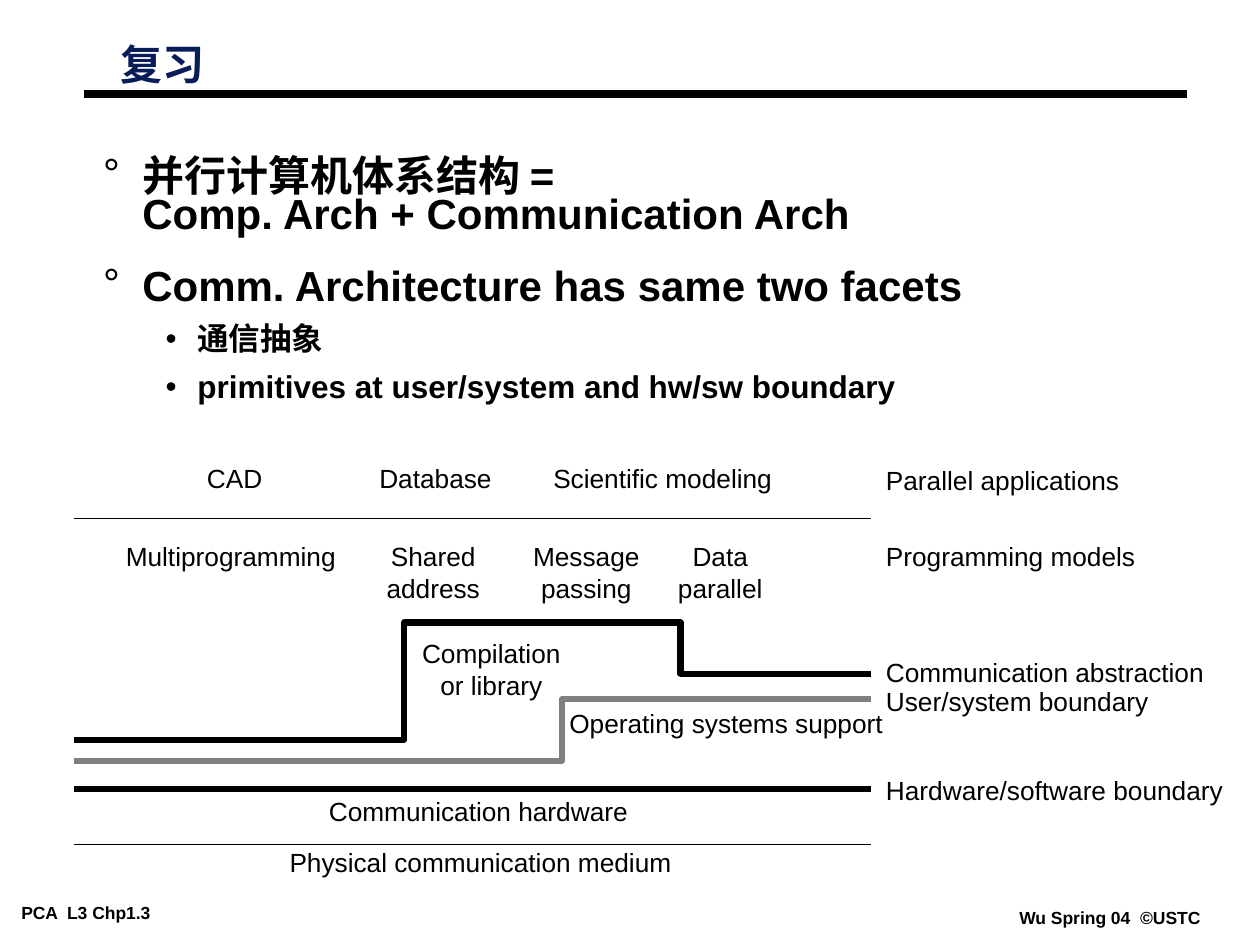
from dataclasses import dataclass

from lxml import etree
from pptx import Presentation
from pptx import util as u
from pptx.dml.color import RGBColor
from pptx.enum import shapes, text
from pptx.oxml import ns

BLACK = RGBColor(0x00, 0x00, 0x00)
NAVY = RGBColor(0x08, 0x1D, 0x58)
GRAY = RGBColor(0x80, 0x80, 0x80)
FONT_NAME = "Arial"
LEFT = text.PP_ALIGN.LEFT
CENTER = text.PP_ALIGN.CENTER

# Diagram extents in centimetres
DIAGRAM_LEFT, DIAGRAM_RIGHT = 1.5, 17.55
LEGEND_LEFT = 17.86
LINE_HEIGHT = 0.6


@dataclass(frozen=True)
class Label:
    words: str
    left: float
    top: float
    width: float
    align: text.PP_ALIGN = CENTER


@dataclass(frozen=True)
class Rule:
    left: float
    right: float
    y: float
    weight: float


@dataclass(frozen=True)
class Step:
    points: tuple[tuple[float, float], ...]
    color: RGBColor


@dataclass(frozen=True)
class Bullet:
    words: str
    level: int


@dataclass(frozen=True)
class BulletStyle:
    symbol: str
    size: float
    margin: float
    hanging: float
    line_spacing: float
    space_before: float


BULLET_STYLES = (
    BulletStyle("°", 24, 0.79, 0.79, 0.75, 19.5),
    BulletStyle("•", 18, 1.9, 0.64, 0.85, 9),
)
BULLETS = (
    Bullet("并行计算机体系结构 =\vComp. Arch + Communication Arch", 0),
    Bullet("Comm. Architecture has same two facets", 0),
    Bullet("通信抽象", 1),
    Bullet("primitives at user/system and hw/sw boundary", 1),
)
LABELS = (
    # Applications
    Label("CAD", 4.17, 9.32, 1.12),
    Label("Database", 7.65, 9.32, 2.26),
    Label("Scientific modeling", 11.15, 9.32, 4.42),
    # Programming models
    Label("Multiprogramming", 2.57, 10.9, 4.17),
    Label("Shared\vaddress", 7.82, 10.9, 1.83),
    Label("Message\vpassing", 10.74, 10.9, 2.16),
    Label("Data\vparallel", 13.67, 10.9, 1.7),
    # System layers
    Label("Compilation\vor library", 8.51, 12.85, 2.79),
    Label("Operating systems support", 11.48, 14.25, 6.32),
    Label("Communication hardware", 6.71, 16.03, 5.87),
    Label("Physical communication medium", 5.84, 17.07, 7.7),
    # Legend on the right
    Label("Parallel applications", LEGEND_LEFT, 9.35, 4.7, LEFT),
    Label("Programming models", LEGEND_LEFT, 10.9, 5.03, LEFT),
    Label("Communication abstraction", LEGEND_LEFT, 13.23, 6.43, LEFT),
    Label("User/system boundary", LEGEND_LEFT, 13.82, 5.31, LEFT),
    Label("Hardware/software boundary", LEGEND_LEFT, 15.6, 6.65, LEFT),
)
FOOTERS = (
    Label("PCA  L3 Chp1.3", 0.25, 18.11, 4.47, LEFT),
    Label("Wu Spring 04  ©USTC", 20.37, 18.21, 4.01, LEFT),
)
RULES = (
    Rule(1.7, 23.93, 1.9, 4.5),
    Rule(DIAGRAM_LEFT, DIAGRAM_RIGHT, 10.45, 0.88),
    Rule(DIAGRAM_LEFT, DIAGRAM_RIGHT, 15.91, 3.5),
    Rule(DIAGRAM_LEFT, DIAGRAM_RIGHT, 17.02, 0.88),
)
STEPS = (
    Step(((DIAGRAM_RIGHT, 13.58), (13.72, 13.58), (13.72, 12.55),
          (8.15, 12.55), (8.15, 14.91), (DIAGRAM_LEFT, 14.91)), BLACK),
    Step(((DIAGRAM_RIGHT, 14.1), (11.33, 14.1), (11.33, 15.34),
          (DIAGRAM_LEFT, 15.34)), GRAY),
)


def set_attributes(target, values: dict) -> None:
    for name, value in values.items():
        setattr(target, name, value)


def format_font(font, size: float, bold: bool, color: RGBColor = BLACK) -> None:
    set_attributes(font, {"name": FONT_NAME, "size": u.Pt(size), "bold": bold})
    font.color.rgb = color


def format_frame(frame, wrap: bool, inset_x: float = 0, inset_y: float = 0) -> None:
    set_attributes(frame, {
        "word_wrap": wrap,
        "auto_size": text.MSO_AUTO_SIZE.NONE,
        "vertical_anchor": text.MSO_ANCHOR.TOP,
        "margin_left": u.Cm(inset_x), "margin_right": u.Cm(inset_x),
        "margin_top": u.Cm(inset_y), "margin_bottom": u.Cm(inset_y),
    })


def draw_title(slide, words: str) -> None:
    title = slide.shapes.title
    set_attributes(title, {"left": u.Cm(2.24), "top": u.Cm(0.84),
                           "width": u.Cm(2.06), "height": u.Cm(1.02)})
    format_frame(title.text_frame, False, 0.18, 0.08)
    paragraph = title.text_frame.paragraphs[0]
    set_attributes(paragraph, {"text": words, "alignment": LEFT, "line_spacing": 0.87})
    format_font(paragraph.runs[0].font, 24, True, NAVY)


def add_bullet_mark(paragraph, style: BulletStyle) -> None:
    properties = paragraph._p.get_or_add_pPr()
    properties.set("marL", str(u.Cm(style.margin)))
    properties.set("indent", str(-u.Cm(style.hanging)))
    color = etree.SubElement(properties, ns.qn("a:buClr"))
    etree.SubElement(color, ns.qn("a:srgbClr")).set("val", str(BLACK))
    etree.SubElement(properties, ns.qn("a:buFont")).set("typeface", FONT_NAME)
    etree.SubElement(properties, ns.qn("a:buChar")).set("char", style.symbol)


def draw_bullets(slide, bullets: tuple[Bullet, ...]) -> None:
    box = slide.shapes.add_textbox(u.Cm(1.9), u.Cm(3.18), u.Cm(21.8), u.Cm(5.05))
    frame = box.text_frame
    format_frame(frame, True, 0.18, 0.08)
    for index, bullet in enumerate(bullets):
        style = BULLET_STYLES[bullet.level]
        paragraph = frame.add_paragraph() if index else frame.paragraphs[0]
        set_attributes(paragraph, {
            "text": bullet.words, "level": bullet.level,
            "line_spacing": style.line_spacing,
            "space_before": u.Pt(style.space_before),
        })
        add_bullet_mark(paragraph, style)
        for run in paragraph.runs:
            format_font(run.font, style.size, True)


def draw_label(slide, label: Label, size: float = 15, bold: bool = False,
               inset_x: float = 0, inset_y: float = 0) -> None:
    height = LINE_HEIGHT * (label.words.count("\v") + 1)
    box = slide.shapes.add_textbox(u.Cm(label.left), u.Cm(label.top),
                                   u.Cm(label.width), u.Cm(height))
    format_frame(box.text_frame, False, inset_x, inset_y)
    paragraph = box.text_frame.paragraphs[0]
    set_attributes(paragraph, {"text": label.words, "alignment": label.align})
    for run in paragraph.runs:
        format_font(run.font, size, bold)


def draw_rule(slide, rule: Rule) -> None:
    line = slide.shapes.add_connector(shapes.MSO_CONNECTOR.STRAIGHT,
                                      u.Cm(rule.left), u.Cm(rule.y),
                                      u.Cm(rule.right), u.Cm(rule.y))
    line.line.color.rgb = BLACK
    line.line.width = u.Pt(rule.weight)
    etree.SubElement(line._element.spPr, ns.qn("a:effectLst"))


def draw_step(slide, step: Step) -> None:
    points = [(u.Cm(x), u.Cm(y)) for x, y in step.points]
    builder = slide.shapes.build_freeform(*points[0])
    builder.add_line_segments(points[1:], close=False)
    shape = builder.convert_to_shape()
    shape.shadow.inherit = False
    shape.fill.background()
    shape.line.color.rgb = step.color
    shape.line.width = u.Pt(3.5)


def main() -> None:
    presentation = Presentation()
    set_attributes(presentation, {"slide_width": u.Cm(25.4), "slide_height": u.Cm(19.05)})
    slide = presentation.slides.add_slide(presentation.slide_layouts[5])
    draw_title(slide, "复习")
    draw_bullets(slide, BULLETS)
    for footer in FOOTERS:
        draw_label(slide, footer, 10, True, 0.18, 0.08)
    for label in LABELS:
        draw_label(slide, label)
    for rule in RULES:
        draw_rule(slide, rule)
    for step in STEPS:
        draw_step(slide, step)
    presentation.save("out.pptx")


if __name__ == "__main__":
    main()
